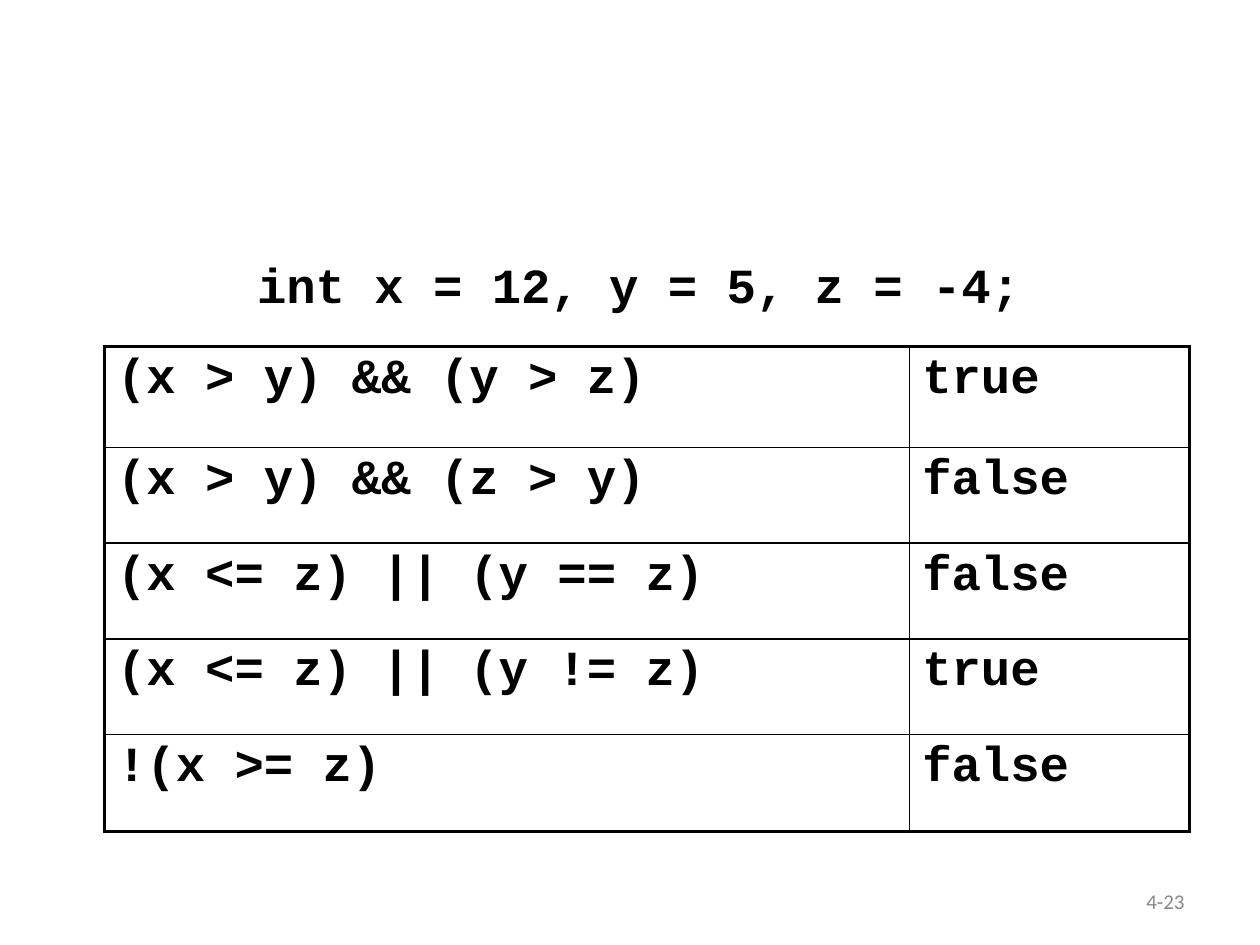
"""Build a slide that evaluates logical expressions for given integer values."""
import dataclasses

import pptx
import pptx.dml.color
import pptx.enum.text
import pptx.oxml
import pptx.oxml.ns
import pptx.util
from pptx.util import Inches


@dataclasses.dataclass(frozen=True)
class Theme:
    ink: str = "000000"
    muted: str = "898989"
    code_font: str = "Courier New"
    label_font: str = "Calibri"
    code_size: int = 28
    label_size: int = 12
    frame_width: float = 2.25
    rule_width: float = 1


theme = Theme()


def style(paragraph, font_name, size, color, bold=False):
    font = paragraph.font
    font.name = font_name
    font.size = pptx.util.Pt(size)
    font.bold = bold
    font.color.rgb = pptx.dml.color.RGBColor.from_string(color)


def add_border(cell, side, width):
    cell._tc.get_or_add_tcPr().append(pptx.oxml.parse_xml(
        f'<a:ln{side} {pptx.oxml.ns.nsdecls("a")} w="{pptx.util.Pt(width)}">'
        f'<a:solidFill><a:srgbClr val="{theme.ink}"/></a:solidFill></a:ln{side}>'))


presentation = pptx.Presentation()
presentation.slide_width = Inches(10)
presentation.slide_height = Inches(7.5)
slide = presentation.slides.add_slide(presentation.slide_layouts[1])
unused_title = slide.shapes.title._element
unused_title.getparent().remove(unused_title)

declaration = slide.placeholders[1]
declaration.left, declaration.top = Inches(0.94), Inches(2.06)
declaration.width, declaration.height = Inches(8.15), Inches(0.9)
declaration.text_frame.text = "int x = 12, y = 5, z = -4;"
declaration_line = declaration.text_frame.paragraphs[0]
declaration_line.line_spacing = 0.8
declaration_line.space_before = pptx.util.Pt(5.6)
style(declaration_line, theme.code_font, theme.code_size, theme.ink, bold=True)
indents = declaration_line._p.get_or_add_pPr()
indents.set("marL", str(Inches(1)))
indents.set("indent", "0")
indents.insert_element_before(
    pptx.oxml.parse_xml(f'<a:buNone {pptx.oxml.ns.nsdecls("a")}/>'),
    "a:tabLst", "a:defRPr", "a:extLst")

evaluations = [
    ("(x > y) && (y > z)", "true"),
    ("(x > y) && (z > y)", "false"),
    ("(x <= z) || (y == z)", "false"),
    ("(x <= z) || (y != z)", "true"),
    ("!(x >= z)", "false"),
]
column_widths = [6.39, 2.22]
row_heights = [0.8, 0.76, 0.76, 0.76, 0.77]
truth_table = slide.shapes.add_table(
    len(evaluations), len(column_widths),
    Inches(0.83), Inches(2.75), Inches(8.61), Inches(3.85)).table
truth_table.first_row = False
truth_table.horz_banding = False
for column, width in zip(truth_table.columns, column_widths):
    column.width = Inches(width)
for row, height in zip(truth_table.rows, row_heights):
    row.height = Inches(height)

last_row, last_column = len(evaluations) - 1, len(column_widths) - 1
for row_index, evaluation in enumerate(evaluations):
    for column_index, wording in enumerate(evaluation):
        cell = truth_table.cell(row_index, column_index)
        cell.text = wording
        style(cell.text_frame.paragraphs[0], theme.code_font,
              theme.code_size, theme.ink, bold=True)
        outer_sides = {
            "L": column_index == 0,
            "R": column_index == last_column,
            "T": row_index == 0,
            "B": row_index == last_row,
        }
        for side, is_outer in outer_sides.items():
            add_border(cell, side, theme.frame_width if is_outer else theme.rule_width)
        cell.fill.background()

page_number = slide.shapes.add_textbox(
    Inches(7.17), Inches(6.95), Inches(2.33), Inches(0.4)).text_frame
page_number.word_wrap = True
page_number.vertical_anchor = pptx.enum.text.MSO_ANCHOR.MIDDLE
page_number.text = "4-23"
page_number.paragraphs[0].alignment = pptx.enum.text.PP_ALIGN.RIGHT
style(page_number.paragraphs[0], theme.label_font, theme.label_size, theme.muted)

presentation.save("out.pptx")
